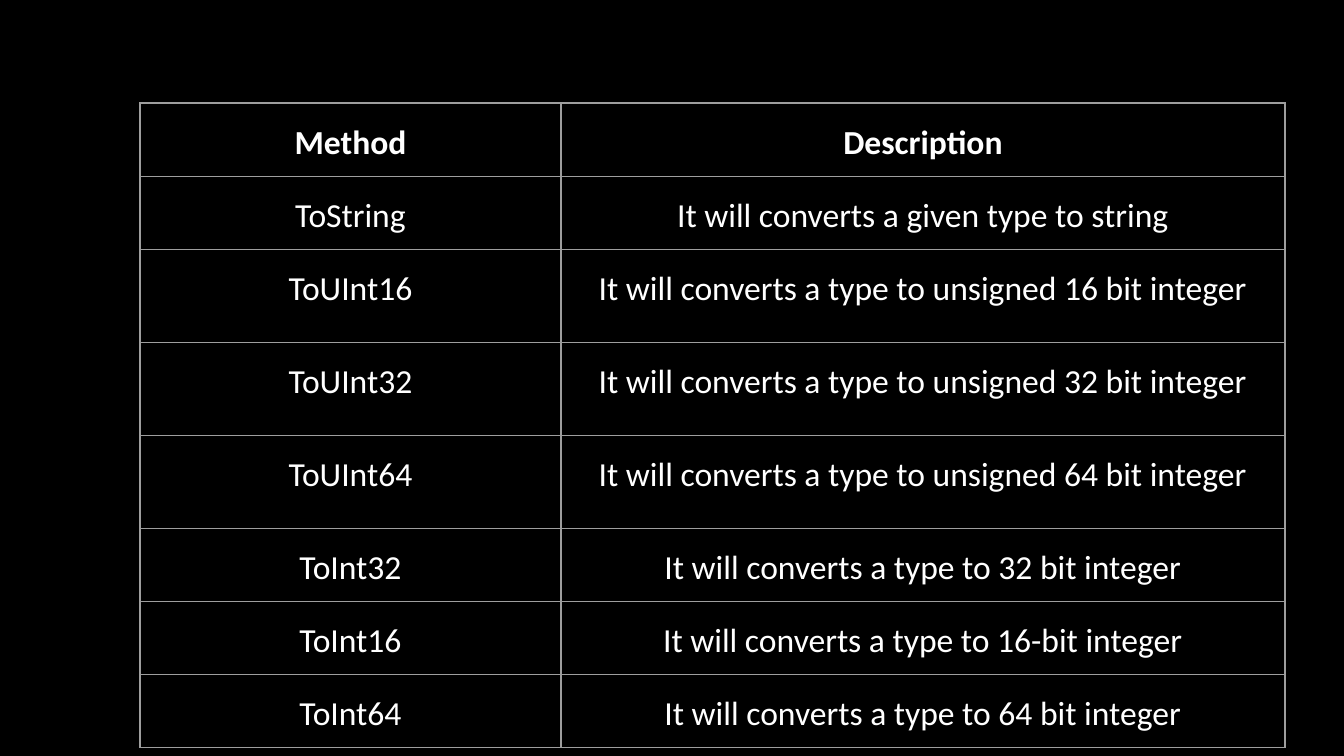
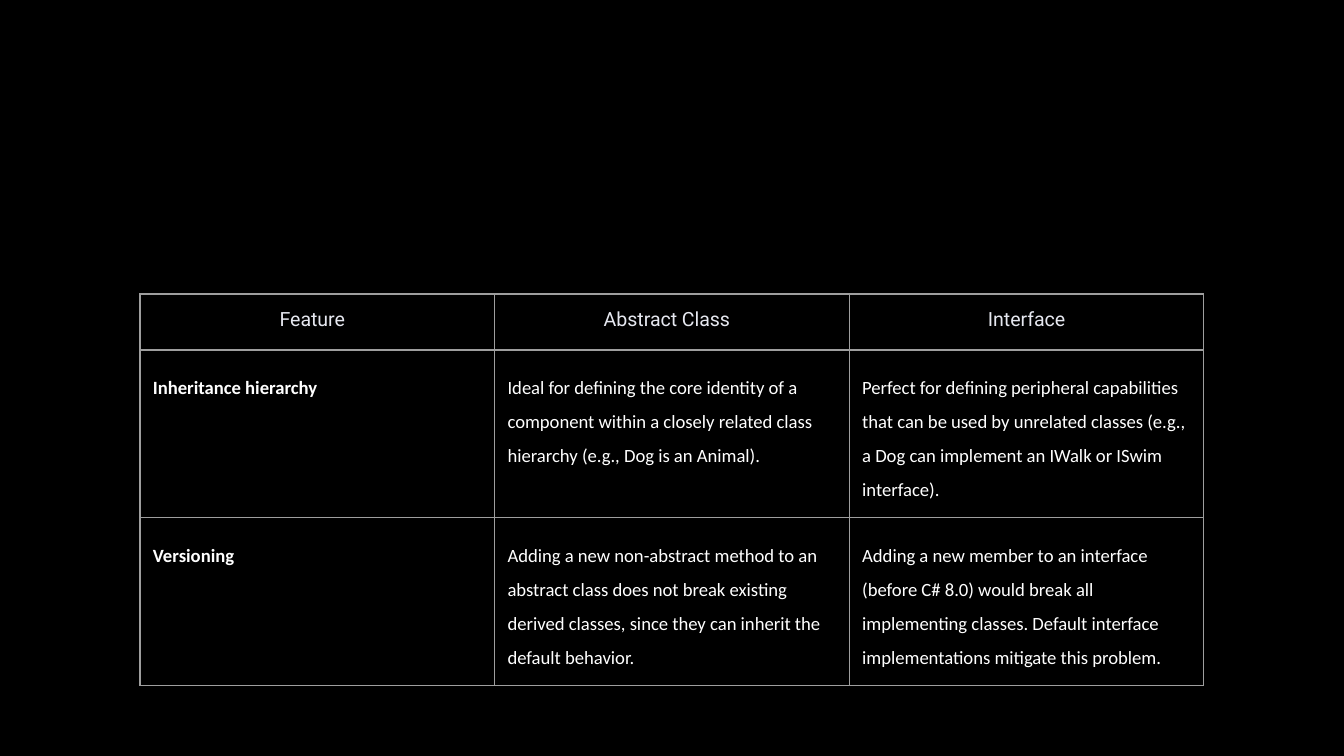
from lxml.etree import SubElement as Sub, Element
from pptx import Presentation
from pptx.dml.color import RGBColor
from pptx.enum.text import PP_ALIGN as Align
from pptx.oxml.ns import qn
from pptx.util import Pt

SCALE = 914400 / 134.4
BLACK, WHITE, PALE, GREY = "000000", "FFFFFF", "E6E8F0", "9E9E9E"

METHODS = [
    ("Method", "Description"),
    ("ToString", "It will converts a given type to string"),
    ("ToUInt16", "It will converts a type to unsigned 16 bit integer"),
    ("ToUInt32", "It will converts a type to unsigned 32 bit integer"),
    ("ToUInt64", "It will converts a type to unsigned 64 bit integer"),
    ("ToInt32", "It will converts a type to 32 bit integer"),
    ("ToInt16", "It will converts a type to 16-bit integer"),
    ("ToInt64", "It will converts a type to 64 bit integer"),
]
FEATURES = [
    ("Feature", "Abstract Class", "Interface"),
    ("Inheritance hierarchy",
     "Ideal for defining the core identity of a component within a closely "
     "related class hierarchy (e.g., Dog is an Animal).",
     "Perfect for defining peripheral capabilities that can be used by "
     "unrelated classes (e.g., a Dog can implement an IWalk or ISwim "
     "interface)."),
    ("Versioning",
     "Adding a new non-abstract method to an abstract class does not break "
     "existing derived classes, since they can inherit the default behavior.",
     "Adding a new member to an interface (before C# 8.0) would break all "
     "implementing classes. Default interface implementations mitigate this "
     "problem."),
]


def px(n):
    return round(n * SCALE)


def color(text):
    return RGBColor.from_string(text)


def put(item, values):
    """Set each named attribute of the item."""
    for name, value in values.items():
        setattr(item, name, value)


def frame(cell):
    """Draw a thin grey line on all four sides of a cell."""
    props = cell._tc.get_or_add_tcPr()
    for spot, side in enumerate(("lnL", "lnR", "lnT", "lnB")):
        line = Element(qn(f"a:{side}"), w=str(Pt(0.75)))
        fill = Sub(line, qn("a:solidFill"))
        Sub(fill, qn("a:srgbClr"), val=GREY)
        props.insert(spot, line)


def write(cell, text, font, para, pad):
    """Fill a cell; pad holds its left, top, right and bottom margins."""
    cell.fill.background()
    frame(cell)
    sides = ("left", "top", "right", "bottom")
    put(cell, {f"margin_{s}": px(n) for s, n in zip(sides, pad)})
    cell.text = text
    first = cell.text_frame.paragraphs[0]
    put(first, para)
    run = first.runs[0]
    put(run.font, {k: v for k, v in font.items() if k != "color"})
    run.font.color.rgb = color(font["color"])


def grid(slide, box, data, widths, heights, style):
    """Place a table; style(row, col) gives the font, paragraph and margins."""
    shape = slide.shapes.add_table(len(data), len(widths), *map(px, box))
    table = shape.table
    put(table, {"first_row": False, "horz_banding": False})
    for col, width in zip(table.columns, widths):
        col.width = px(width)
    for row, height in zip(table.rows, heights):
        row.height = px(height)
    for r, line in enumerate(data):
        for c, text in enumerate(line):
            write(table.cell(r, c), text, *style(r, c))


def page(deck):
    slide = deck.slides.add_slide(deck.slide_layouts[6])
    fill = slide.background.fill
    fill.solid()
    fill.fore_color.rgb = color(BLACK)
    return slide


def methods(slide, box):
    def style(r, c):
        font = {"name": "Calibri", "size": Pt(18), "bold": r == 0,
                "color": WHITE}
        para = {"alignment": Align.CENTER, "line_spacing": 1.15}
        if r:
            para["space_after"] = Pt(8)
        return font, para, (13, 13, 13, 13)

    heights = [93 if "unsigned" in text else 55 for _, text in METHODS]
    grid(slide, box, METHODS, (421, 724), heights, style)


def features(slide, box):
    def style(r, c):
        right = 13 if c == 2 else 23
        if r == 0:
            font = {"name": "Roboto", "size": Pt(10.5), "bold": False,
                    "color": PALE}
            para = {"alignment": Align.CENTER, "line_spacing": 1.15}
            return font, para, (13, 11, right, 11)
        font = {"name": "Calibri", "size": Pt(10), "bold": c == 0,
                "color": WHITE}
        para = {"alignment": Align.LEFT, "line_spacing": 1.5}
        return font, para, (13, 16, right, 16)

    cols = len(FEATURES[0])
    grid(slide, box, FEATURES, [box[2] / cols] * cols,
         [56] * len(FEATURES), style)


def main():
    deck = Presentation()
    put(deck, {"slide_width": px(1344), "slide_height": px(756)})
    methods(page(deck), (140, 103, 1145, 554))
    features(page(deck), (140, 294, 1064, 168))
    deck.save("out.pptx")


if __name__ == "__main__":
    main()
